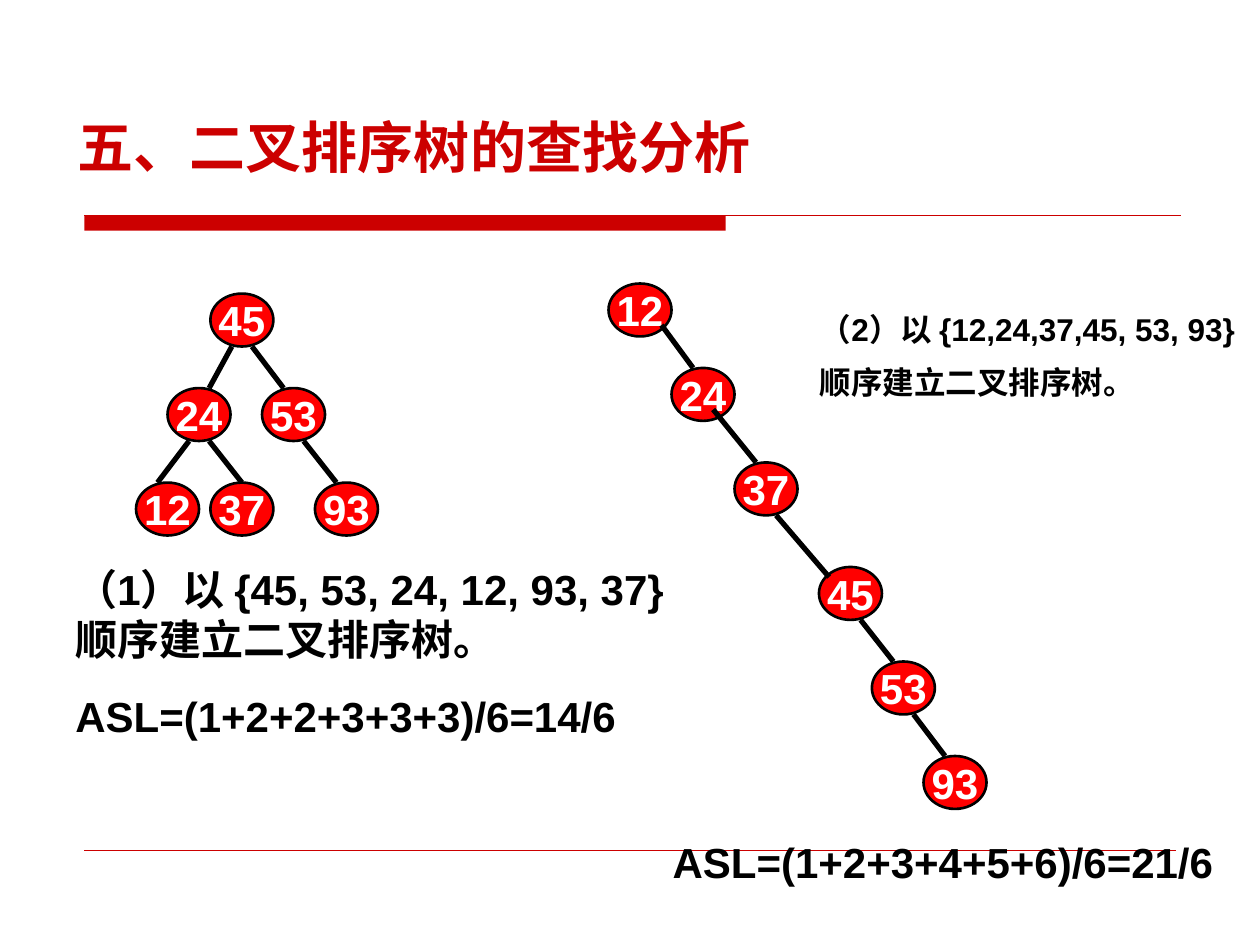
from pptx import Presentation
from pptx.dml.color import RGBColor
from pptx.enum.shapes import MSO_CONNECTOR, MSO_SHAPE
from pptx.enum.text import MSO_ANCHOR, PP_ALIGN
from pptx.util import Inches, Pt
from lxml.etree import SubElement
from pptx.oxml.ns import qn

HEX = {"red": "CC0000", "node": "FF0000", "ink": "000000", "white": "FFFFFF"}
FONT = "Arial"
NODE_W, NODE_H = 0.5, 0.42

# Trees: key -> left, top; then links: parent, child, start and end offsets
DOWN_L = ((0.17, NODE_H), (0.33, 0))
DOWN_R = ((0.33, NODE_H), (0.17, 0))
TREES = [
    ({45: (1.67, 2.33), 24: (1.33, 3.08), 53: (2.08, 3.08),
      12: (1.08, 3.83), 37: (1.67, 3.83), 93: (2.5, 3.83)},
     [(45, 24, *DOWN_L), (45, 53, *DOWN_R), (53, 93, *DOWN_R),
      (24, 12, (0.17, NODE_H), (0.17, 0)),
      (24, 37, (0.33, NODE_H), (0.25, 0))]),
    ({12: (4.83, 2.25), 24: (5.33, 2.92), 37: (5.83, 3.67),
      45: (6.5, 4.5), 53: (6.92, 5.25), 93: (7.33, 6)},
     [(12, 24, (0.42, 0.33), (0.17, 0)),
      (24, 37, (0.33, 0.33), (0.17, 0)),
      (37, 45, (0.33, NODE_H), (0.08, 0.08)),
      (45, 53, *DOWN_R), (53, 93, *DOWN_R)]),
]

# Texts: box, lines, format
TEXTS = [
    ((0.52, 0.84, 5.64, 0.64), ["五、二叉排序树的查找分析"],
     dict(size=32, color="red", wrap=False)),
    ((0.5, 4.42, 5.13, 1.51),
     ["（1）以 {45, 53, 24, 12, 93, 37}顺序建立二叉排序树。",
      "ASL=(1+2+2+3+3+3)/6=14/6"], dict(gap=15)),
    ((5.24, 6.59, 4.94, 0.5), ["ASL=(1+2+3+4+5+6)/6=21/6"], {}),
    ((6.41, 2.41, 3.67, 0.84),
     ["（2）以 {12,24,37,45, 53, 93}", "顺序建立二叉排序树。"],
     dict(size=18, gap=9, wrap=False)),
]

deck = Presentation()
deck.slide_width, deck.slide_height = Inches(10), Inches(7.5)
slide = deck.slides.add_slide(deck.slide_layouts[6])
shapes = slide.shapes


def rgb(name):
    return RGBColor.from_string(HEX[name])


def write(frame, lines, size=24, color="ink", align=PP_ALIGN.LEFT,
          anchor=MSO_ANCHOR.TOP, wrap=True, gap=0):
    frame.word_wrap = wrap
    frame.vertical_anchor = anchor
    for i, text in enumerate(lines):
        para = frame.add_paragraph() if i else frame.paragraphs[0]
        para.alignment = align
        if i:
            para.space_before = Pt(gap)
        run = para.add_run()
        run.text = text
        font = run.font
        font.name, font.size, font.bold = FONT, Pt(size), True
        font.color.rgb = rgb(color)


def draw_line(start, end, color, width):
    line = shapes.add_connector(MSO_CONNECTOR.STRAIGHT,
                                *map(Inches, (*start, *end)))
    line.line.color.rgb = rgb(color)
    line.line.width = Pt(width)
    SubElement(line._element.spPr, qn("a:effectLst"))


def add_form(kind, box, fill):
    form = shapes.add_shape(kind, *map(Inches, box))
    form.shadow.inherit = False
    form.fill.solid()
    form.fill.fore_color.rgb = rgb(fill)
    return form


def add_node(key, spot):
    node = add_form(MSO_SHAPE.OVAL, (*spot, NODE_W, NODE_H), "node")
    node.line.color.rgb = rgb("ink")
    node.line.width = Pt(1.5)
    write(node.text_frame, [str(key)], color="white", align=PP_ALIGN.CENTER,
          anchor=MSO_ANCHOR.MIDDLE, wrap=False)


def shift(spot, step):
    return spot[0] + step[0], spot[1] + step[1]


# Title band and rules
band = add_form(MSO_SHAPE.RECTANGLE, (0.67, 1.71, 5.09, 0.12), "red")
band.line.fill.background()
draw_line((0.67, 1.71), (9.37, 1.71), "red", 0.75)
draw_line((0.67, 6.75), (9.33, 6.75), "red", 0.25)

# Trees
for nodes, links in TREES:
    for key, spot in nodes.items():
        add_node(key, spot)
    for top, low, start, end in links:
        draw_line(shift(nodes[top], start), shift(nodes[low], end), "ink", 3)

# Title and notes on each tree
for box, lines, style in TEXTS:
    area = shapes.add_textbox(*map(Inches, box))
    write(area.text_frame, lines, **style)

deck.save("out.pptx")
